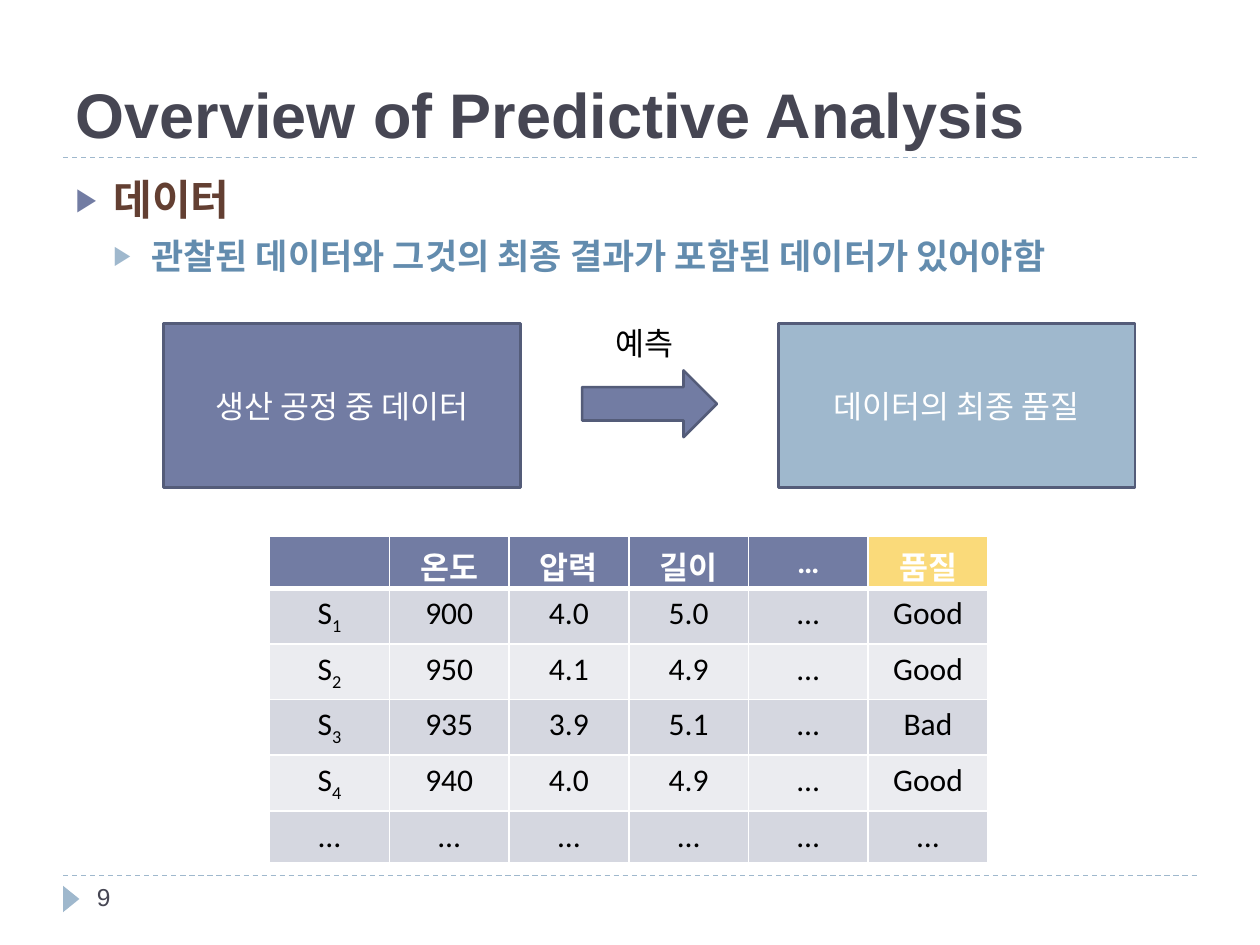
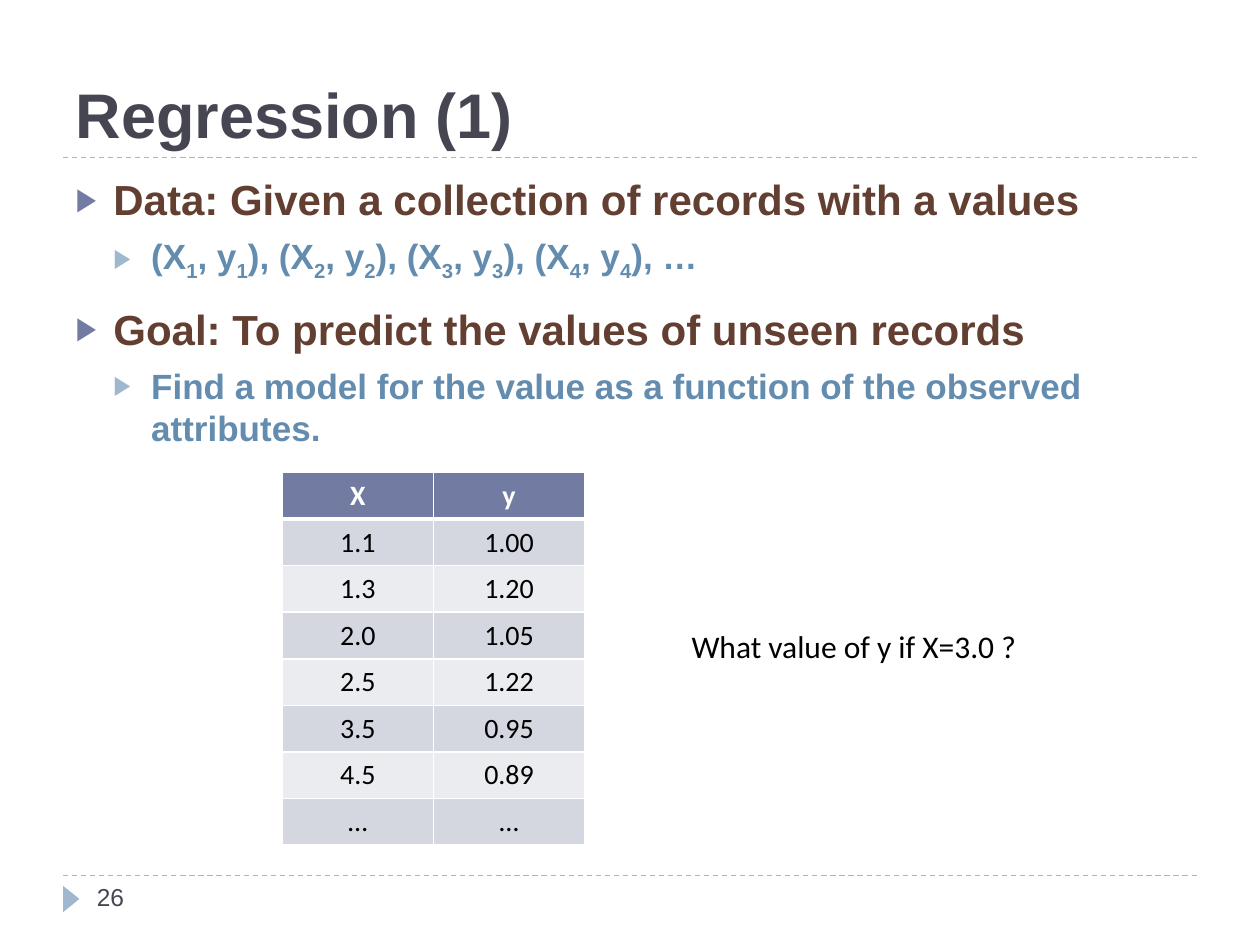
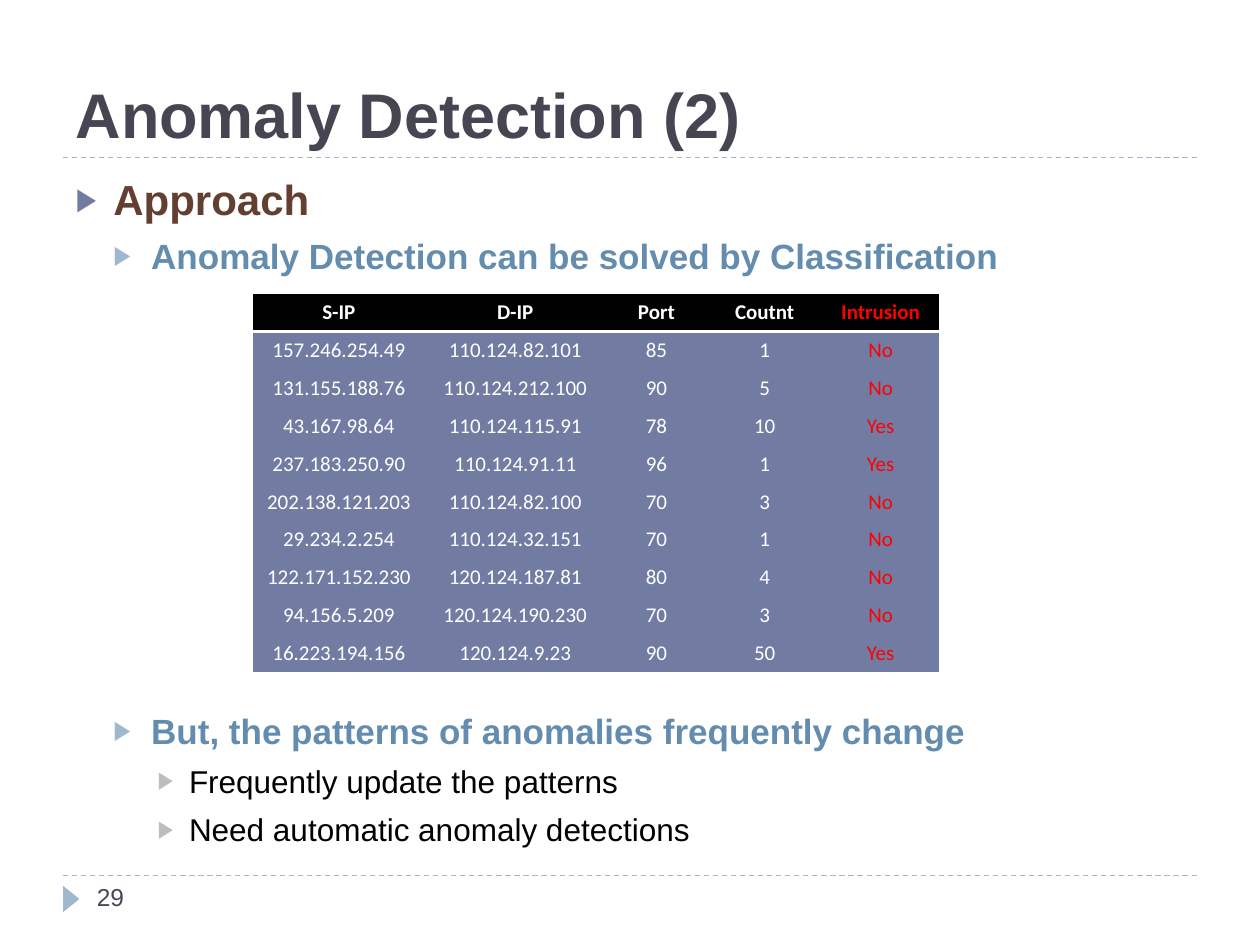
from lxml.etree import SubElement
from pptx import Presentation
from pptx.dml.color import RGBColor
from pptx.enum.dml import MSO_LINE
from pptx.enum.shapes import MSO_CONNECTOR, MSO_SHAPE
from pptx.enum.text import MSO_ANCHOR, MSO_AUTO_SIZE, PP_ALIGN
from pptx.oxml.ns import qn
from pptx.util import Pt

PX = 9144
COLORS = {
    "ink": "464653", "brown": "633F32", "steel": "638CAE", "black": "000000",
    "white": "FFFFFF", "red": "FF0000", "indigo": "727CA3", "sky": "9FB8CD",
    "gray": "BDBDBD", "edge": "545C79", "gold": "FADA7A",
    "band": "D5D7E0", "pale": "EBECF0",
}
RGB = {name: RGBColor.from_string(value) for name, value in COLORS.items()}
LEVELS = [
    dict(size=24, color="brown", bold=True, bullet="indigo", margin=30, hanging=30, before=12),
    dict(size=20, color="steel", bold=True, bullet="sky", margin=60, hanging=30, before=6),
    dict(size=18, color="black", bullet="gray", margin=90, hanging=25, before=6),
]


def write(frame, text, size=18, color="black", bold=False, font="Calibri", align=None,
          level=0, bullet=None, margin=0, hanging=0, before=None):
    paragraph = frame.paragraphs[0]
    if paragraph.runs:
        paragraph = frame.add_paragraph()
    paragraph.alignment = align
    paragraph.level = level
    if before is not None:
        paragraph.space_before = Pt(before)
    if bullet:
        properties = paragraph._p.get_or_add_pPr()
        properties.set("marL", str(margin * PX))
        properties.set("indent", str(-hanging * PX))
        tint = SubElement(properties, qn("a:buClr"))
        SubElement(tint, qn("a:srgbClr"), val=COLORS[bullet])
        SubElement(properties, qn("a:buSzPct"), val="76000")
        SubElement(properties, qn("a:buFont"), typeface="Arial")
        SubElement(properties, qn("a:buChar"), char="▶")
    first, *marked = text.split("_")
    pieces = [(first, False)]
    for part in marked:
        pieces += [(part[0], True), (part[1:], False)]
    for piece, lowered in pieces:
        if not piece:
            continue
        run = paragraph.add_run()
        run.text = piece
        run.font.name = font
        run.font.size = Pt(size)
        run.font.bold = bold
        run.font.color.rgb = RGB[color]
        if lowered:
            run._r.get_or_add_rPr().set("baseline", "-25000")


def add_grid(slide, rows, left, top, widths, row_height, size, header="indigo",
             bands=("band", "pale"), color="black", last_color=None,
             grid_line=1, header_line=3, anchor=MSO_ANCHOR.TOP):
    table = slide.shapes.add_table(len(rows), len(widths), left * PX, top * PX,
                                   sum(widths) * PX, len(rows) * row_height * PX).table
    for column, width in zip(table.columns, widths):
        column.width = width * PX
    for r, row in enumerate(rows):
        table.rows[r].height = row_height * PX
        for c, value in enumerate(row):
            cell = table.cell(r, c)
            borders = dict(L=grid_line, R=grid_line,
                           T=header_line if r == 1 else grid_line,
                           B=header_line if r == 0 else grid_line)
            for side, width in borders.items():
                line = SubElement(cell._tc.get_or_add_tcPr(), qn("a:ln" + side), w=str(Pt(width)))
                if width:
                    paint = SubElement(line, qn("a:solidFill"))
                    SubElement(paint, qn("a:srgbClr"), val=COLORS["white"])
                else:
                    SubElement(line, qn("a:noFill"))
            cell.fill.solid()
            cell.fill.fore_color.rgb = RGB[bands[(r - 1) % len(bands)] if r else header]
            cell.vertical_anchor = anchor
            text_color = color if r else "white"
            if last_color and c == len(row) - 1:
                text_color = last_color
            write(cell.text_frame, value, size=size, color=text_color, bold=r == 0,
                  align=PP_ALIGN.CENTER)
    return table


deck = Presentation()
deck.slide_width = 1000 * PX
deck.slide_height = 750 * PX

outline = [
    ("Overview of Predictive Analysis", "9", [
        (0, "데이터", {}),
        (1, "관찰된 데이터와 그것의 최종 결과가 포함된 데이터가 있어야함", {}),
    ]),
    ("Regression (1)", "26", [
        (0, "Data: Given a collection of records with a values", {}),
        (1, "(X_1, y_1), (X_2, y_2), (X_3, y_3), (X_4, y_4), …", {}),
        (0, "Goal: To predict the values of unseen records", {}),
        (1, "Find a model for the value as a function of the observed attributes.", {}),
    ]),
    ("Anomaly Detection (2)", "29", [
        (0, "Approach", {}),
        (1, "Anomaly Detection can be solved by Classification", {}),
        (1, "But, the patterns of anomalies frequently change", {"before": 247}),
        (2, "Frequently update the patterns", {}),
        (2, "Need automatic anomaly detections", {}),
    ]),
]

slides = []
for heading, number, points in outline:
    slide = deck.slides.add_slide(deck.slide_layouts[1])
    slides.append(slide)
    for y in (695, 125):
        rule = slide.shapes.add_connector(MSO_CONNECTOR.STRAIGHT, 50 * PX, y * PX, 950 * PX, y * PX)
        rule.line.color.rgb = RGB["sky"]
        rule.line.width = Pt(0.75)
        rule.line.dash_style = MSO_LINE.DASH
        SubElement(rule._element.spPr, qn("a:effectLst"))
    marker = slide.shapes.add_shape(MSO_SHAPE.ISOSCELES_TRIANGLE, 46 * PX, 707 * PX, 21 * PX, 13 * PX)
    marker.rotation = 90
    marker.shadow.inherit = False
    marker.fill.solid()
    marker.fill.fore_color.rgb = RGB["sky"]
    marker.line.fill.background()

    title, body = slide.shapes.title, slide.placeholders[1]
    for holder, top, height in ((title, 17, 108), (body, 133, 540)):
        holder.left, holder.top = 50 * PX, top * PX
        holder.width, holder.height = 900 * PX, height * PX
        holder.text_frame.auto_size = MSO_AUTO_SIZE.NONE
    title.text_frame.vertical_anchor = MSO_ANCHOR.BOTTOM
    write(title.text_frame, heading, size=36, color="ink", bold=True, font="Arial",
          align=PP_ALIGN.LEFT)
    for level, point, changes in points:
        write(body.text_frame, point, font="Arial", level=level, **{**LEVELS[level], **changes})

    page = slide.shapes.add_textbox(67 * PX, 695 * PX, 217 * PX, 40 * PX)
    page.text_frame.word_wrap = True
    write(page.text_frame, number, size=14, color="ink", font="Arial")

overview, regression, anomaly = slides

for kind, left, top, width, height, fill, caption in (
    (MSO_SHAPE.RECTANGLE, 130, 257, 283, 130, "indigo", "생산 공정 중 데이터"),
    (MSO_SHAPE.RECTANGLE, 618, 257, 283, 130, "sky", "데이터의 최종 품질"),
    (MSO_SHAPE.RIGHT_ARROW, 462, 294, 107, 53, "indigo", ""),
):
    step = overview.shapes.add_shape(kind, left * PX, top * PX, width * PX, height * PX)
    step.shadow.inherit = False
    step.fill.solid()
    step.fill.fore_color.rgb = RGB[fill]
    step.line.color.rgb = RGB["edge"]
    step.line.width = Pt(1.5)
    step.text_frame.vertical_anchor = MSO_ANCHOR.MIDDLE
    write(step.text_frame, caption, color="white", align=PP_ALIGN.CENTER)

for slide, left, top, width, words in (
    (overview, 479, 252, 71, "예측"),
    (regression, 539, 493, 287, "What value of y if X=3.0 ?"),
):
    label = slide.shapes.add_textbox(left * PX, top * PX, width * PX, 40 * PX)
    label.text_frame.word_wrap = False
    label.text_frame.auto_size = MSO_AUTO_SIZE.SHAPE_TO_FIT_TEXT
    write(label.text_frame, words)

samples = [
    ("", "온도", "압력", "길이", "…", "품질"),
    ("S_1", "900", "4.0", "5.0", "…", "Good"),
    ("S_2", "950", "4.1", "4.9", "…", "Good"),
    ("S_3", "935", "3.9", "5.1", "…", "Bad"),
    ("S_4", "940", "4.0", "4.9", "…", "Good"),
    ("…",) * 6,
]
quality = add_grid(overview, samples, 214, 426, [95] * 6, 41, 18)
quality.cell(0, 5).fill.fore_color.rgb = RGB["gold"]

records = [
    ("X", "y"), ("1.1", "1.00"), ("1.3", "1.20"), ("2.0", "1.05"),
    ("2.5", "1.22"), ("3.5", "0.95"), ("4.5", "0.89"), ("…", "…"),
]
add_grid(regression, records, 224, 375, [120] * 2, 37, 16)

traffic = [
    ("S-IP", "D-IP", "Port", "Coutnt", "Intrusion"),
    ("157.246.254.49", "110.124.82.101", "85", "1", "No"),
    ("131.155.188.76", "110.124.212.100", "90", "5", "No"),
    ("43.167.98.64", "110.124.115.91", "78", "10", "Yes"),
    ("237.183.250.90", "110.124.91.11", "96", "1", "Yes"),
    ("202.138.121.203", "110.124.82.100", "70", "3", "No"),
    ("29.234.2.254", "110.124.32.151", "70", "1", "No"),
    ("122.171.152.230", "120.124.187.81", "80", "4", "No"),
    ("94.156.5.209", "120.124.190.230", "70", "3", "No"),
    ("16.223.194.156", "120.124.9.23", "90", "50", "Yes"),
]
add_grid(anomaly, traffic, 201, 233, [136, 144, 80, 92, 92], 30, 12, header="black",
         bands=("indigo",), color="white", last_color="red", grid_line=0, header_line=2,
         anchor=MSO_ANCHOR.MIDDLE)

deck.save("out.pptx")
